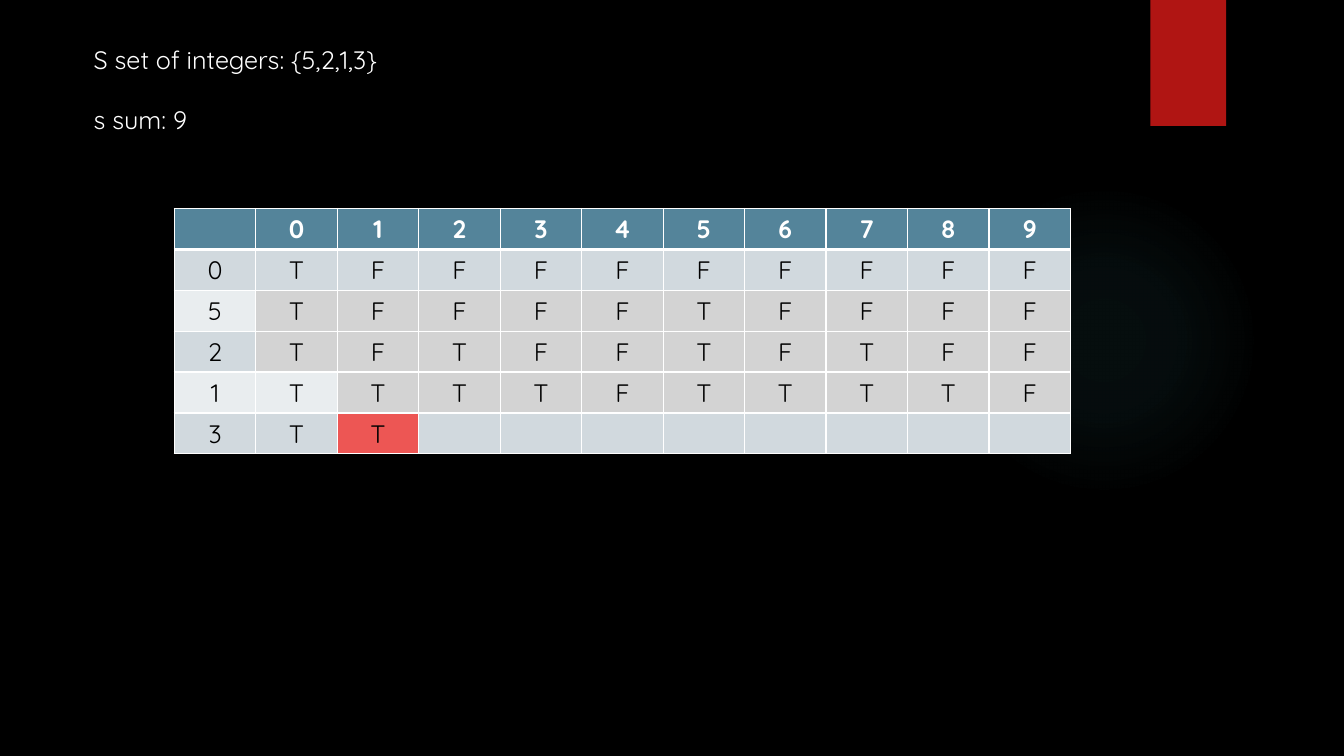
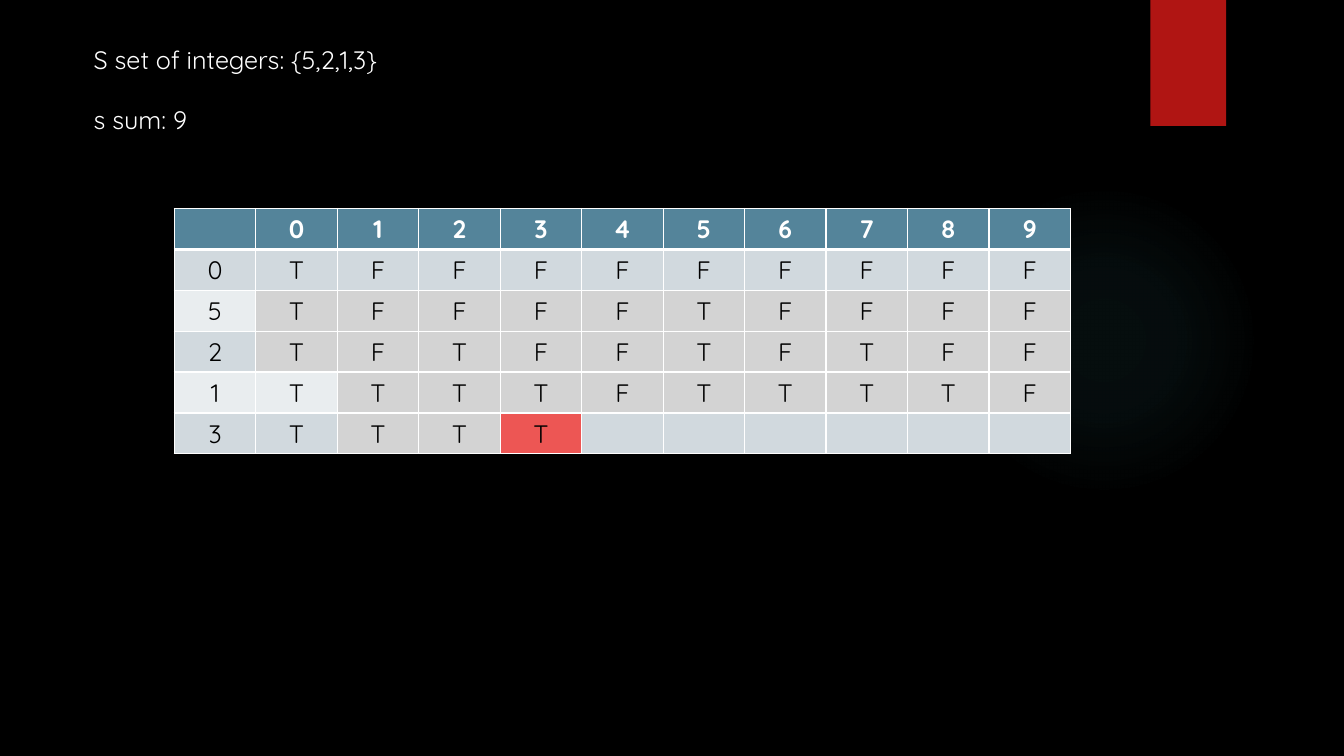
"""Build two slides that step through a subset-sum table."""
from pptx import Presentation
from pptx.dml.color import RGBColor
from pptx.enum.shapes import MSO_SHAPE
from pptx.enum.text import PP_ALIGN
from pptx.oxml import parse_xml
from pptx.oxml.ns import nsdecls, qn
from pptx.util import Pt

OVAL = MSO_SHAPE.OVAL
RECT = MSO_SHAPE.RECTANGLE
CENTER = PP_ALIGN.CENTER

BLACK = RGBColor(0x00, 0x00, 0x00)
WHITE = RGBColor(0xFF, 0xFF, 0xFF)
RED = RGBColor(0xB0, 0x15, 0x13)
TEAL = RGBColor(0x50, 0xB9, 0xC1)
BLUE = RGBColor(0x54, 0x84, 0x9A)
BANDS = (RGBColor(0xD1, 0xD9, 0xDE), RGBColor(0xE9, 0xED, 0xEF))
GREY = RGBColor(0xD3, 0xD3, 0xD3)
CORAL = RGBColor(0xED, 0x56, 0x54)

FONT = "Quicksand"
SIZE = Pt(18)
COL = 58.2
ROW = 29.2
SUM = 9
LINES = ("S set of integers: {5,2,1,3}", "s sum: 9")
DONE = (
    ("0", "TFFFFFFFFF", SUM + 1),
    ("5", "TFFFFTFFFF", 0),
    ("2", "TFTFFTFTFF", 0),
    ("1", "TTTTFTTTTF", 1),
)
STEPS = ("TT", "TTTT")


def style(para, color, bold=False):
    for run in para.runs:
        run.font.name = FONT
        run.font.size = SIZE
        run.font.bold = bold
        run.font.color.rgb = color


def add_block(slide, kind, color, left, top, width, height):
    block = slide.shapes.add_shape(kind, Pt(left), Pt(top), Pt(width), Pt(height))
    block.shadow.inherit = False
    block.fill.solid()
    block.fill.fore_color.rgb = color
    block.line.fill.background()
    return block


def add_glow(slide):
    glow = add_block(slide, OVAL, TEAL, 677.5, 131.8, 221.8, 221.8)
    stops = "".join(
        f'<a:gs pos="{pos}000"><a:srgbClr val="{TEAL}">'
        f'<a:alpha val="{alpha}000"/></a:srgbClr></a:gs>'
        for pos, alpha in ((0, 7), (36, 6), (69, 0))
    )
    fade = parse_xml(
        f'<a:gradFill {nsdecls("a")} rotWithShape="1"><a:gsLst>{stops}</a:gsLst>'
        '<a:path path="circle"><a:fillToRect l="50000" t="50000" '
        'r="50000" b="50000"/></a:path></a:gradFill>'
    )
    props = glow._element.spPr
    props.replace(props.find(qn("a:solidFill")), fade)


def add_intro(slide):
    box = slide.shapes.add_textbox(Pt(59.8), Pt(28), Pt(229.7), Pt(72.7))
    frame = box.text_frame
    frame.word_wrap = False
    frame.text = "\n".join(LINES)
    frame.paragraphs[1].space_before = Pt(21)
    for para in frame.paragraphs:
        style(para, WHITE)


def set_edges(cell, base):
    props = cell._tc.get_or_add_tcPr()
    for side, width in (("L", 1), ("R", 1), ("T", 1), ("B", base)):
        props.append(parse_xml(
            f'<a:ln{side} {nsdecls("a")} w="{Pt(width)}"><a:solidFill>'
            f'<a:srgbClr val="{WHITE}"/></a:solidFill></a:ln{side}>'
        ))


def set_cell(cell, text, fill, head=False):
    set_edges(cell, 3 if head else 1)
    cell.fill.solid()
    cell.fill.fore_color.rgb = fill
    cell.text_frame.text = text
    para = cell.text_frame.paragraphs[0]
    para.alignment = CENTER
    style(para, WHITE if head else BLACK, head)


def pick_fill(row, col, start, now):
    if col == now:
        return CORAL
    if start <= col < now:
        return GREY
    return BANDS[row % 2]


def add_grid(slide, step):
    rows = DONE + (("3", step, 1),)
    count = SUM + 2
    high = len(rows) + 1
    grid = slide.shapes.add_table(
        high, count, Pt(124.5), Pt(149), Pt(COL * count), Pt(ROW * high)
    ).table
    for col in grid.columns:
        col.width = Pt(COL)
    for row in grid.rows:
        row.height = Pt(ROW)
    for col in range(count):
        set_cell(grid.cell(0, col), str(col - 1) if col else "", BLUE, True)
    for row, (label, marks, start) in enumerate(rows):
        now = len(marks) - 1 if row == len(DONE) else SUM + 1
        set_cell(grid.cell(row + 1, 0), label, BANDS[row % 2])
        for col, mark in enumerate(marks.ljust(SUM + 1)):
            fill = pick_fill(row, col, start, now)
            set_cell(grid.cell(row + 1, col + 1), mark.strip(), fill)


def main():
    deck = Presentation()
    deck.slide_width = Pt(960)
    deck.slide_height = Pt(540)
    back = deck.slide_master.background.fill
    back.solid()
    back.fore_color.rgb = BLACK
    for step in STEPS:
        slide = deck.slides.add_slide(deck.slide_layouts[6])
        add_glow(slide)
        add_block(slide, RECT, RED, 821.8, 0, 54, 90)
        add_intro(slide)
        add_grid(slide, step)
    deck.save("out.pptx")


if __name__ == "__main__":
    main()
